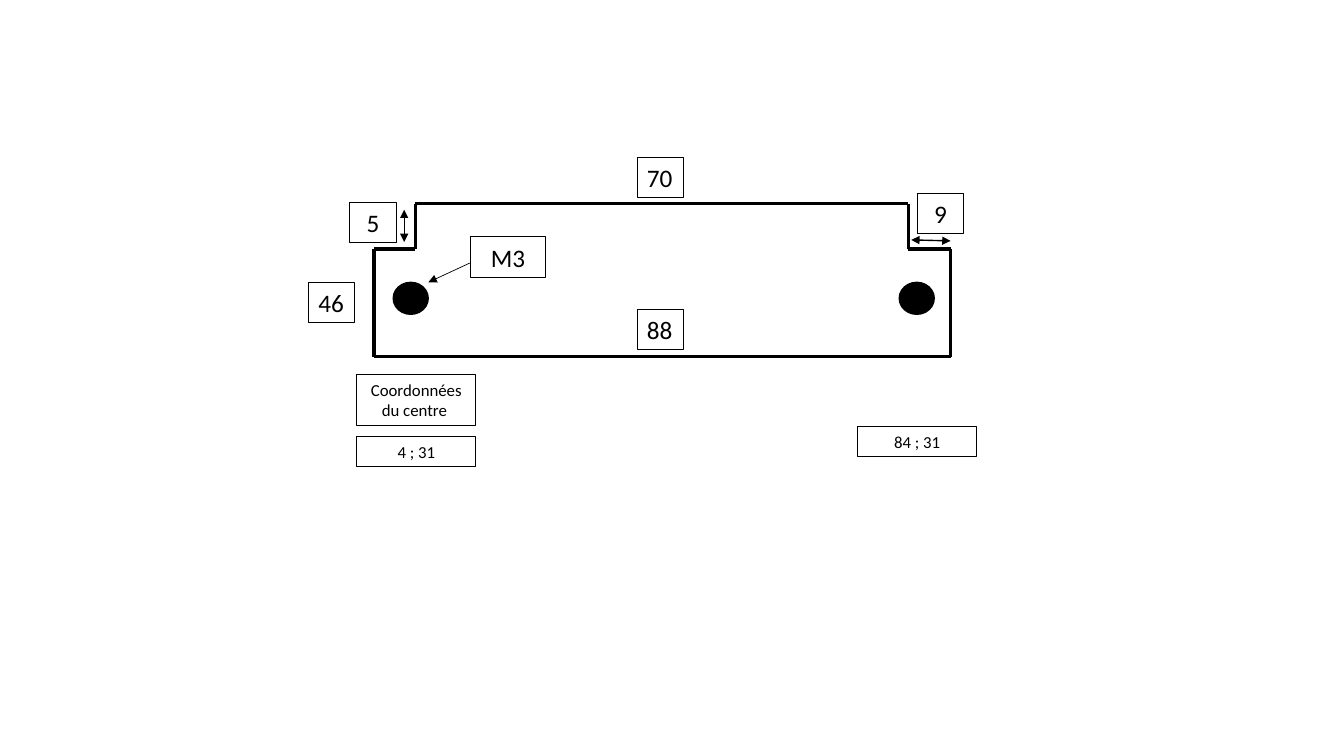
"""Draw the dimensioned outline of a notched plate with two M3 holes."""
from dataclasses import dataclass
from itertools import pairwise

from lxml import etree
from pptx import Presentation
from pptx.dml.color import RGBColor
from pptx.enum.shapes import MSO_CONNECTOR, MSO_SHAPE
from pptx.enum.text import MSO_AUTO_SIZE, PP_ALIGN
from pptx.oxml.ns import qn
from pptx.util import Inches, Pt

STRAIGHT = MSO_CONNECTOR.STRAIGHT
ELLIPSE = MSO_SHAPE.OVAL
LEFT, CENTER = PP_ALIGN.LEFT, PP_ALIGN.CENTER
FIT_SHAPE = MSO_AUTO_SIZE.SHAPE_TO_FIT_TEXT

COLORS = {"ink": "000000"}
FONT = "Calibri"
CELL = Inches(0.1)
COLUMNS, ROWS = 133.33, 75
OUTLINE_WIDTH = 2.25

PLATE_LEFT, PLATE_RIGHT = 37.1, 94.3
NOTCH_LEFT, NOTCH_RIGHT = 41.2, 90.1
PLATE_TOP, SHOULDER, PLATE_BOTTOM = 20.2, 24.7, 35.4
HOLE_COLUMNS, HOLE_ROW = (39.1, 89.3), 28.1
HOLE_WIDTH, HOLE_HEIGHT = 3.3, 3


@dataclass(frozen=True)
class Label:
    text: str
    column: float
    row: float
    width: float = 4.6
    height: float = 4
    size: float = 18
    align: PP_ALIGN = CENTER


@dataclass(frozen=True)
class Stroke:
    start: tuple[float, float]
    end: tuple[float, float]
    width: float = OUTLINE_WIDTH
    arrows: tuple[str, ...] = ()


CORNERS = [
    (PLATE_LEFT, SHOULDER), (NOTCH_LEFT, SHOULDER),
    (NOTCH_LEFT, PLATE_TOP), (NOTCH_RIGHT, PLATE_TOP),
    (NOTCH_RIGHT, SHOULDER), (PLATE_RIGHT, SHOULDER),
    (PLATE_RIGHT, PLATE_BOTTOM), (PLATE_LEFT, PLATE_BOTTOM),
    (PLATE_LEFT, SHOULDER),
]
ARROWS = [
    Stroke((40.1, 20.8), (40.1, 24), 1, ("headEnd", "tailEnd")),
    Stroke((90.4, 23.8), (94.3, 23.9), 1, ("headEnd", "tailEnd")),
    Stroke((46.6, 26.1), (42.5, 28), 0.5, ("tailEnd",)),
]
LABELS = [
    Label("88", 63.2, 30.7, align=LEFT),
    Label("70", 63.2, 15.6, align=LEFT),
    Label("46", 30.6, 28, align=LEFT),
    Label("5", 34.7, 20.1),
    Label("9", 91, 19.2),
    Label("M3", 46.7, 23.5, width=7.4),
    Label("Coordonnées du centre ", 35.4, 37.2, 11.8, 5, 12),
    Label("4 ; 31", 35.4, 43.3, 11.8, 3, 12),
    Label("84 ; 31", 85.1, 42.3, 11.8, 3, 12),
]


def cells(*counts: float) -> list[int]:
    """Convert grid counts to slide lengths."""
    return [round(count * CELL) for count in counts]


def ink() -> RGBColor:
    """Return the drawing colour."""
    return RGBColor.from_string(COLORS["ink"])


def add_stroke(page, stroke: Stroke) -> None:
    """Draw a straight line with its arrowheads."""
    connector = page.shapes.add_connector(STRAIGHT, *cells(*stroke.start, *stroke.end))
    connector.line.color.rgb = ink()
    connector.line.width = Pt(stroke.width)
    line = connector.line._get_or_add_ln()
    for end in stroke.arrows:
        etree.SubElement(line, qn(f"a:{end}"), type="triangle")
    etree.SubElement(connector._element.spPr, qn("a:effectLst"))


def add_hole(page, column: float) -> None:
    """Draw one filled fixing hole."""
    hole = page.shapes.add_shape(ELLIPSE, *cells(column, HOLE_ROW, HOLE_WIDTH, HOLE_HEIGHT))
    hole.shadow.inherit = False
    hole.fill.solid()
    hole.fill.fore_color.rgb = ink()
    hole.line.color.rgb = ink()
    hole.line.width = Pt(OUTLINE_WIDTH)


def add_label(page, label: Label) -> None:
    """Draw one framed dimension or note."""
    box = page.shapes.add_textbox(*cells(label.column, label.row, label.width, label.height))
    box.line.color.rgb = ink()
    box.line.width = Pt(0.75)
    box.text_frame.word_wrap = True
    box.text_frame.auto_size = FIT_SHAPE
    para = box.text_frame.paragraphs[0]
    para.alignment = label.align
    span = para.add_run()
    span.text = label.text
    span.font.name = FONT
    span.font.size = Pt(label.size)
    span.font.color.rgb = ink()


def main() -> None:
    """Build and save the deck."""
    deck = Presentation()
    deck.slide_width, deck.slide_height = cells(COLUMNS, ROWS)
    page = deck.slides.add_slide(deck.slide_layouts[6])
    for start, end in pairwise(CORNERS):
        add_stroke(page, Stroke(start, end))
    for column in HOLE_COLUMNS:
        add_hole(page, column)
    for arrow in ARROWS:
        add_stroke(page, arrow)
    for label in LABELS:
        add_label(page, label)
    deck.save("out.pptx")


main()
